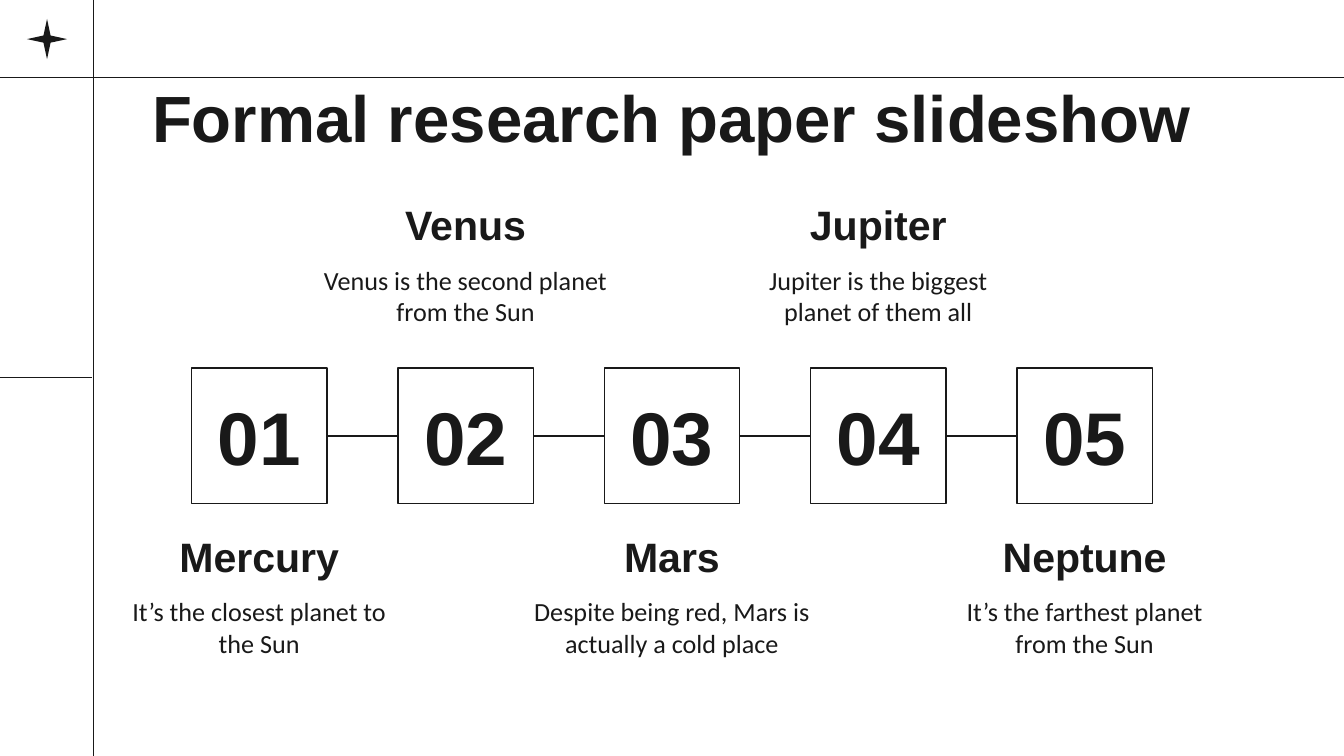
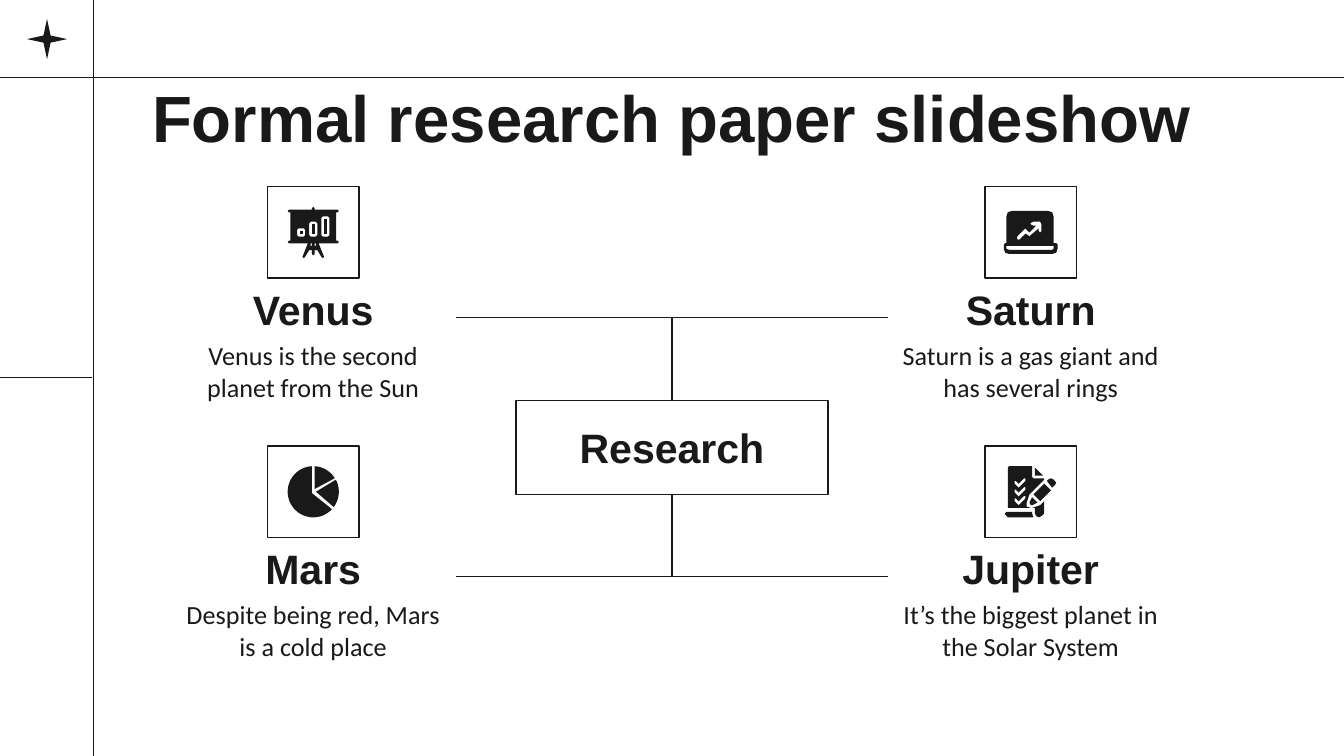
import dataclasses
import math
import typing

import lxml.etree
import pptx
import pptx.dml.color
import pptx.enum.shapes
import pptx.enum.text
import pptx.oxml.ns
import pptx.util

Cm = pptx.util.Cm
Pt = pptx.util.Pt
KIND = pptx.enum.shapes.MSO_SHAPE
LINK = pptx.enum.shapes.MSO_CONNECTOR
ANCHOR = pptx.enum.text.MSO_ANCHOR
ALIGN = pptx.enum.text.PP_ALIGN
INK = pptx.dml.color.RGBColor(0x19, 0x19, 0x19)
PAPER = pptx.dml.color.RGBColor(0xFF, 0xFF, 0xFF)

WIDE, HIGH = 25.4, 14.29
MID = WIDE / 2
TITLE = "Formal research paper slideshow"
RULE = Pt(0.75)
PAD = Cm(0.25)
FRAME = {"word_wrap": True, "margin_left": PAD, "margin_right": PAD,
         "margin_top": PAD, "margin_bottom": PAD}
HUGE = {"name": "Arial", "size": Pt(40), "bold": True}
LARGE = {"name": "Arial", "size": Pt(35), "bold": True}
HEAD = {"name": "Arial", "size": Pt(22), "bold": True}
BODY = {"name": "Calibri", "size": Pt(14), "bold": False}

TOP, LEFT, BASE, RIGHT = range(4)
GRID = 68
FINE = 10

Point = tuple[float, float]
Ring = list[Point]
Icon = list[list[Ring]]


@dataclasses.dataclass(frozen=True)
class Box:
    left: float
    top: float
    width: float
    height: float

    def cells(self) -> list[int]:
        return [Cm(v) for v in dataclasses.astuple(self)]


@dataclasses.dataclass(frozen=True)
class Note:
    head: str
    body: str
    mid: float
    top: float
    width: float
    gap: float


@dataclasses.dataclass(frozen=True)
class Topic:
    note: Note
    icon: Icon
    side: int


def put(item: typing.Any, values: dict[str, typing.Any]) -> None:
    for key, value in values.items():
        setattr(item, key, value)


def write(shape: typing.Any, text: str, font: dict, anchor: typing.Any) -> None:
    frame = shape.text_frame
    put(frame, FRAME | {"vertical_anchor": anchor})
    para = frame.paragraphs[0]
    para.alignment = ALIGN.CENTER
    run = para.add_run()
    run.text = text
    put(run.font, font)
    run.font.color.rgb = INK


def label(slide: typing.Any, box: Box, text: str, font: dict, anchor: typing.Any) -> typing.Any:
    shape = slide.shapes.add_textbox(*box.cells())
    write(shape, text, font, anchor)
    return shape


def solid(shape: typing.Any) -> None:
    shape.shadow.inherit = False
    shape.fill.solid()
    shape.fill.fore_color.rgb = INK
    shape.line.fill.background()


def panel(slide: typing.Any, box: Box, text: str = "", font: dict = HEAD) -> typing.Any:
    shape = slide.shapes.add_shape(KIND.RECTANGLE, *box.cells())
    shape.shadow.inherit = False
    shape.fill.background()
    put(shape.line, {"width": RULE})
    shape.line.color.rgb = INK
    if text:
        write(shape, text, font, ANCHOR.MIDDLE)
    return shape


def rule(slide: typing.Any, start: Point, end: Point, kind: typing.Any = LINK.STRAIGHT) -> typing.Any:
    line = slide.shapes.add_connector(kind, *[Cm(v) for v in (*start, *end)])
    line.line.width = RULE
    line.line.color.rgb = INK
    lxml.etree.SubElement(line._element.spPr, pptx.oxml.ns.qn("a:effectLst"))
    return line


def join(slide: typing.Any, first: typing.Any, out: int, last: typing.Any, into: int,
         bent: bool = False) -> None:
    line = rule(slide, (0, 0), (1, 1), LINK.ELBOW if bent else LINK.STRAIGHT)
    line.begin_connect(first, out)
    line.end_connect(last, into)
    if bent:
        geom = line._element.spPr.find(pptx.oxml.ns.qn("a:prstGeom"))
        geom.set("prst", "bentConnector2")


def caption(slide: typing.Any, note: Note) -> typing.Any:
    left = note.mid - note.width / 2
    head = label(slide, Box(left, note.top, note.width, 1.1), note.head, HEAD, ANCHOR.BOTTOM)
    label(slide, Box(left, note.top + note.gap, note.width, 1.6), note.body, BODY, ANCHOR.TOP)
    return head


def block(left: float, top: float, right: float, base: float, cut: float = 0) -> Ring:
    if not cut:
        return [(left, top), (right, top), (right, base), (left, base)]
    return [(left + cut, top), (right - cut, top), (right, top + cut), (right, base - cut),
            (right - cut, base), (left + cut, base), (left, base - cut), (left, top + cut)]


def wedge(tip: Point, start: int, end: int) -> Ring:
    turns = [math.radians(start + (end - start) * i / 36) for i in range(37)]
    return [tip] + [(34 + 19 * math.cos(t), 34 + 19 * math.sin(t)) for t in turns]


def chart_board() -> Icon:
    half = [(33, 16), (33, 17), (16, 17), (15, 18), (16, 19), (17, 19), (17, 40), (16, 40),
            (15, 41), (16, 42), (30, 42), (26, 52), (27, 53), (28, 52), (31, 47), (33, 47),
            (33, 50)]
    edge = [(34, 15), *half, (34, 51), *[(GRID - x, y) for x, y in reversed(half)]]
    bars = [(22, 31), (31, 26), (40, 22)]
    holes = [block(x, y, x + 6, 37, 1) for x, y in bars]
    slots = [block(x, 42, x + 1, 44) for x in (32, 35)]
    return [[edge, *holes, *slots]] + [[block(x + 2, y + 2, x + 4, 35)] for x, y in bars]


def laptop() -> Icon:
    case = [(20, 18), (17, 19), (16, 22), (16, 42), (15, 42), (14, 43), (14, 46), (15, 49),
            (18, 50), (50, 50), (53, 49), (54, 46), (54, 43), (53, 42), (51, 42), (51, 22),
            (50, 19), (47, 18)]
    slit = [(51, 44), (51, 46), (50, 47), (18, 47), (16, 46), (16, 44)]
    arrow = [(41, 26), (42, 28), (42, 33), (41, 34), (40, 33), (40, 31), (34, 36), (33, 37),
             (32, 36), (30, 35), (26, 39), (25, 39.5), (24, 39), (24, 37), (29, 32), (30, 31),
             (31, 32), (33, 34), (38, 29), (36, 29), (34, 28), (34, 27), (36, 26)]
    return [[case, slit, arrow]]


def checklist() -> Icon:
    tick = [(29, 24), (30, 24), (30, 26), (26, 30), (25, 31), (24, 30), (22, 28), (22, 26),
            (23, 26), (25, 28)]
    page = [(18, 15), (17, 16), (17, 46), (37, 46), (37, 50), (38, 52), (40, 53), (42, 52),
            (44, 50), (44, 41), (41, 44), (35, 46), (34, 46), (31, 45), (31, 42), (33, 36),
            (44, 25), (44, 24), (36, 24), (35, 23), (35, 15)]
    cap = [(49, 24), (47, 25), (46, 26), (50, 31), (52, 29), (53, 27.5), (52, 26), (51, 25)]
    tip = [(35, 38), (33, 42), (34, 44), (35, 44), (39, 42)]
    stem = [(44, 28), (36, 36), (41, 41), (49, 33)]
    fold = [(37, 16), (37, 22), (43, 22)]
    foot = [(16, 49), (15, 50), (15, 51), (17, 53), (36, 53), (35, 50), (35, 49)]
    ticks = [[(x, y + drop) for x, y in tick] for drop in (0, 6.5, 13)]
    return [[*ticks, page], [cap], [tip], [stem], [fold], [foot]]


def pie() -> Icon:
    return [[wedge((36, 34), -28, 37)], [wedge((35, 32), -87, -32)], [wedge((33, 35), 43, 267)]]


def draw(slide: typing.Any, tile: Box, icon: Icon) -> None:
    for rings in icon:
        rings = [[(x * FINE, y * FINE) for x, y in ring] for ring in rings]
        pen = slide.shapes.build_freeform(*rings[0][0], scale=Cm(tile.width) / GRID / FINE)
        for turn, ring in enumerate(rings):
            if turn:
                pen.move_to(*ring[0])
            pen.add_line_segments(ring[1:], close=True)
        solid(pen.convert_to_shape(Cm(tile.left), Cm(tile.top)))


def start(deck: typing.Any) -> typing.Any:
    slide = deck.slides.add_slide(deck.slide_layouts[6])
    slide.background.fill.solid()
    slide.background.fill.fore_color.rgb = PAPER
    rule(slide, (0, 7.14), (1.74, 7.14))
    rule(slide, (0, 1.47), (WIDE, 1.47))
    rule(slide, (1.77, 0), (1.77, HIGH))
    star = slide.shapes.add_shape(KIND.STAR_4_POINT, *Box(0.51, 0.36, 0.76, 0.76).cells())
    star.adjustments[0] = 0.125
    solid(star)
    label(slide, Box(2, 1.47, 21.4, 1.73), TITLE, LARGE, ANCHOR.BOTTOM)
    return slide


def steps(deck: typing.Any) -> None:
    slide = start(deck)
    size, pitch = 2.56, 3.9
    texts = [
        ("Mercury", "It’s the closest planet to the Sun"),
        ("Venus", "Venus is the second planet from the Sun"),
        ("Mars", "Despite being red, Mars is actually a cold place"),
        ("Jupiter", "Jupiter is the biggest planet of them all"),
        ("Neptune", "It’s the farthest planet from the Sun"),
    ]
    tiles = []
    for i, (head, body) in enumerate(texts):
        mid = MID + (i - 2) * pitch
        tile = Box(mid - size / 2, 6.96, size, size)
        tiles.append(panel(slide, tile, f"{i + 1:02}", HUGE))
        caption(slide, Note(head, body, mid, 3.86 if i % 2 else 10.13, 5.9, 0.88))
    for first, last in zip(tiles, tiles[1:]):
        join(slide, first, RIGHT, last, LEFT)


def branches(deck: typing.Any) -> None:
    slide = start(deck)
    size, reach, drop = 1.73, 6.78, 4.9
    cells = [
        ("Venus", "Venus is the second planet from the Sun", chart_board()),
        ("Saturn", "Saturn is a gas giant and has several rings", laptop()),
        ("Mars", "Despite being red, Mars is a cold place", pie()),
        ("Jupiter", "It’s the biggest planet in the Solar System", checklist()),
    ]
    topics = []
    for i, (head, body, icon) in enumerate(cells):
        row, col = divmod(i, 2)
        mid = MID + (2 * col - 1) * reach
        note = Note(head, body, mid, 5.45 + row * drop, 5.39, 0.72)
        topics.append(Topic(note, icon, LEFT if col else RIGHT))
    hub = panel(slide, Box(9.75, 7.57, 5.9, 1.78), "Research")
    for i, topic in enumerate(topics):
        note = topic.note
        head = caption(slide, note)
        join(slide, head, topic.side, hub, BASE if i > 1 else TOP, bent=True)
        tile = Box(note.mid - size / 2, note.top - 1.92, size, size)
        panel(slide, tile)
        draw(slide, tile, topic.icon)


def main() -> None:
    deck = pptx.Presentation()
    put(deck, {"slide_width": Cm(WIDE), "slide_height": Cm(HIGH)})
    steps(deck)
    branches(deck)
    deck.save("out.pptx")


if __name__ == "__main__":
    main()
